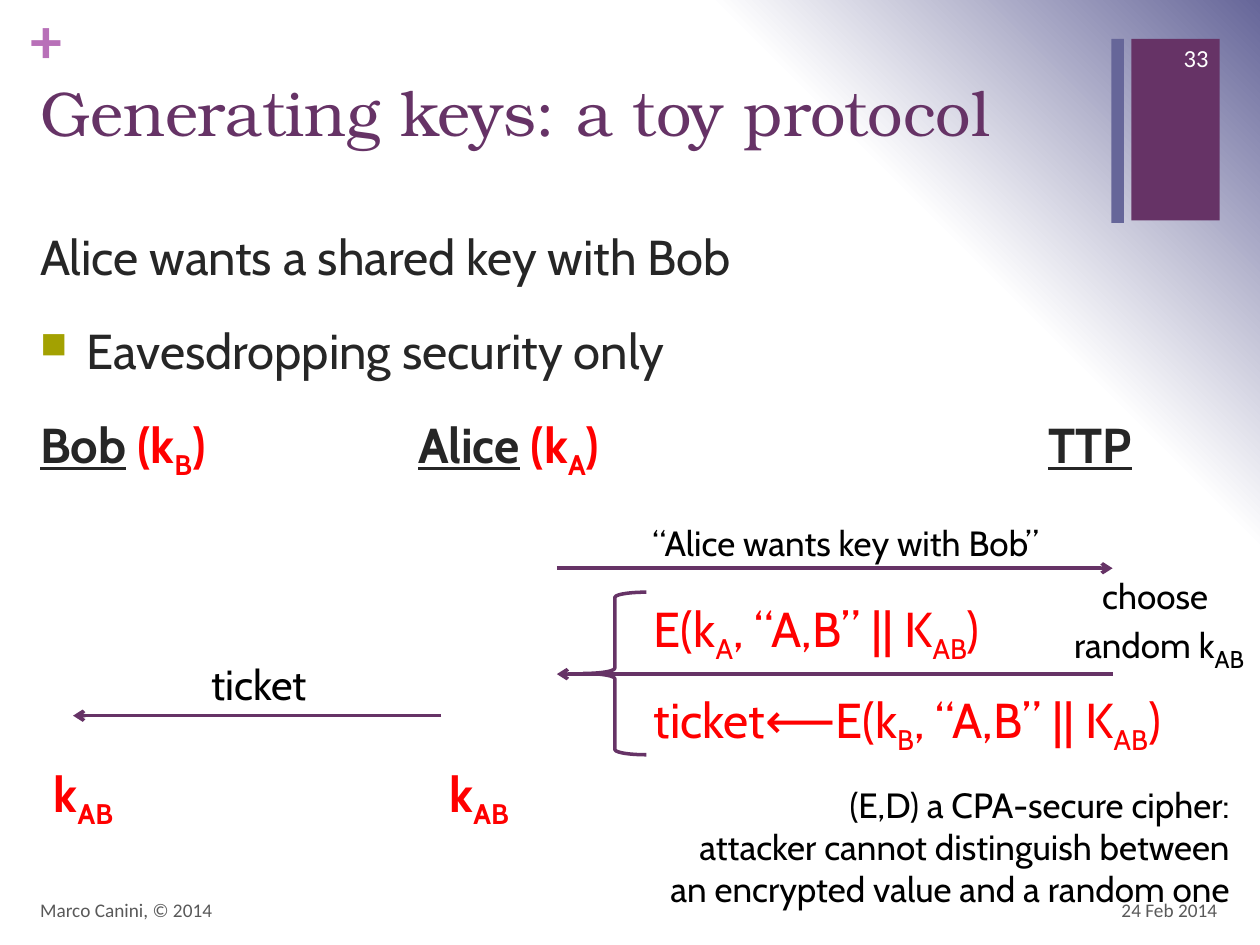
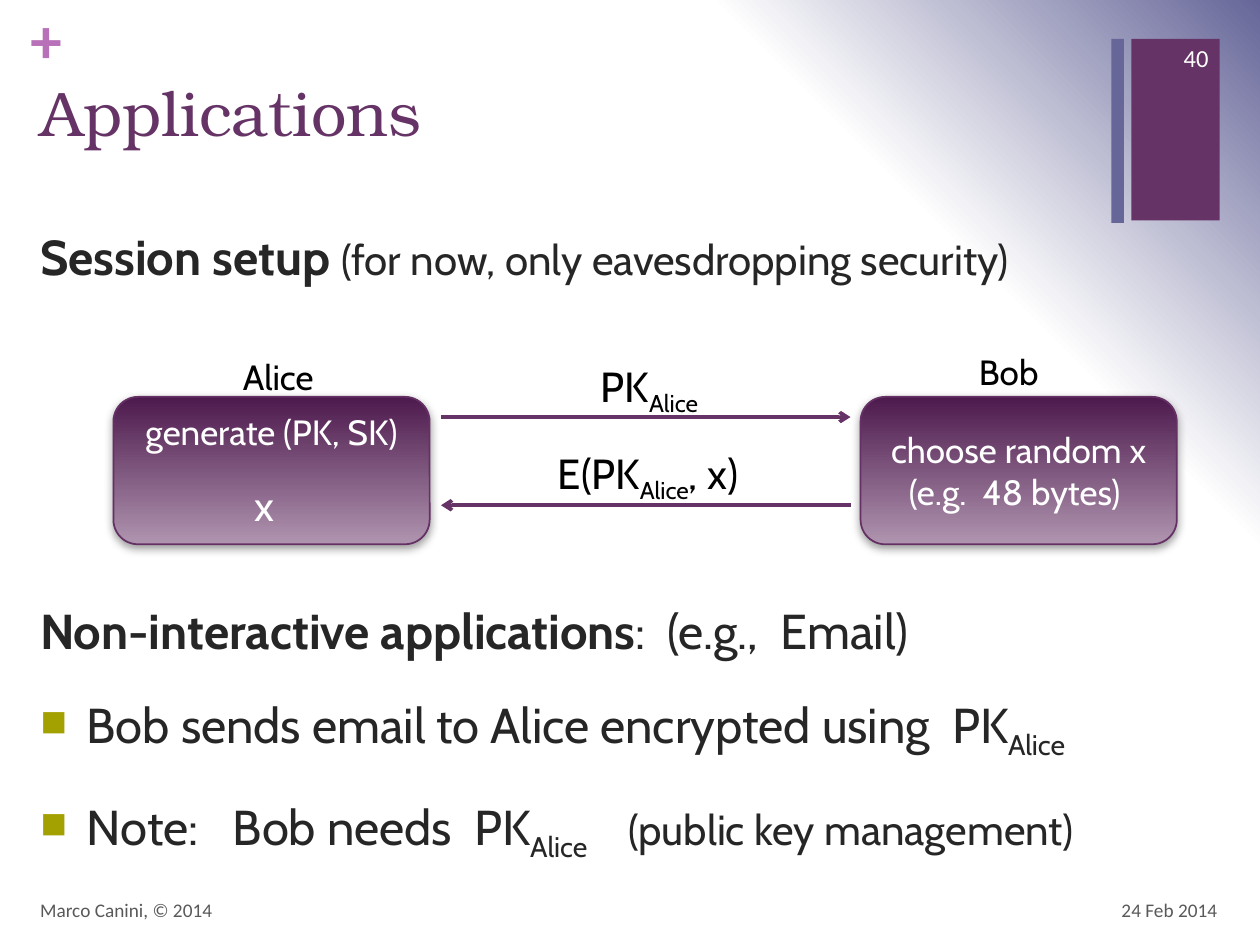
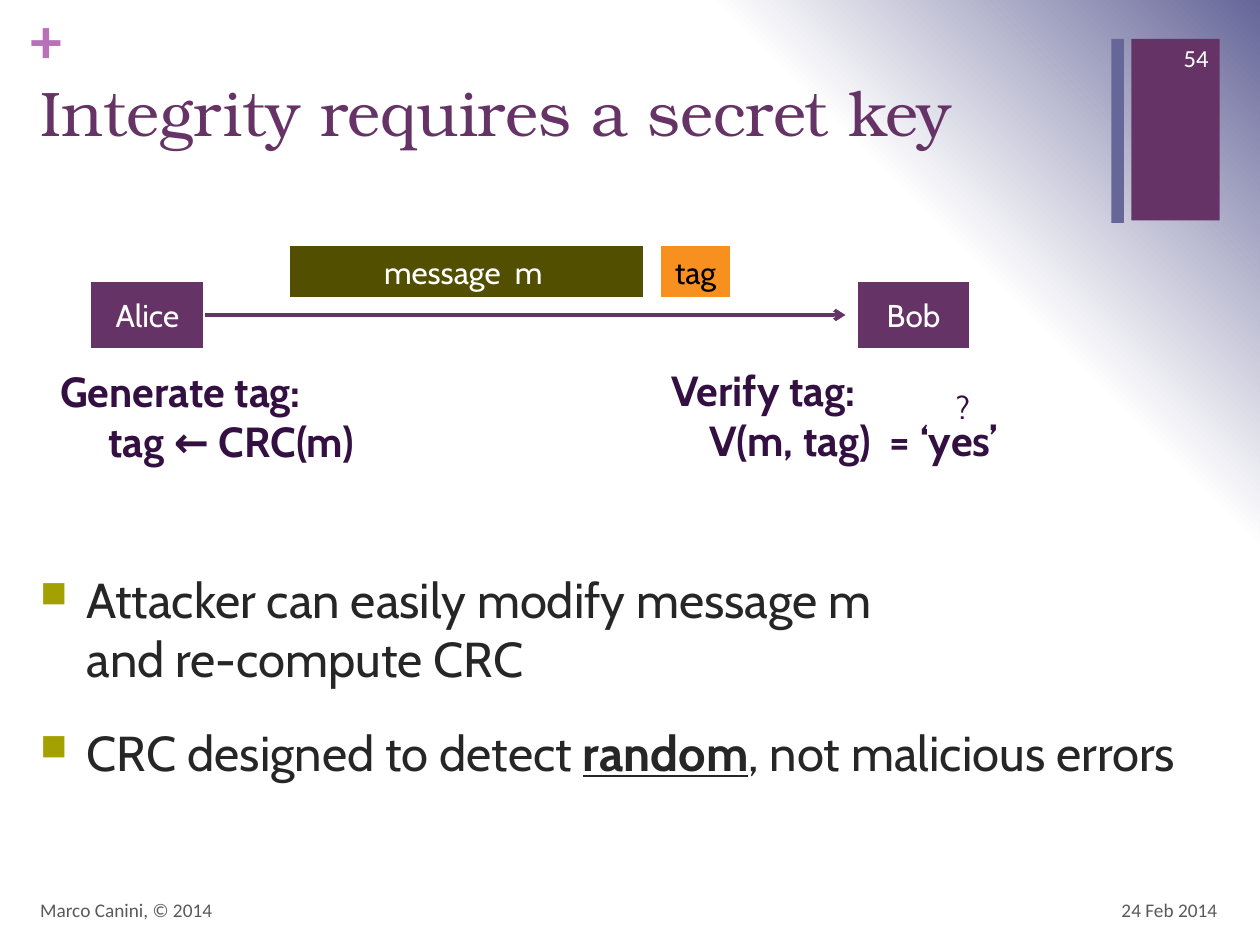
import dataclasses

import pptx
import pptx.dml.color
import pptx.enum.shapes
import pptx.enum.text
import pptx.oxml
import pptx.oxml.ns
import pptx.util

Inches = pptx.util.Inches
Pt = pptx.util.Pt
Shape = pptx.enum.shapes.MSO_SHAPE
Align = pptx.enum.text.PP_ALIGN
Anchor = pptx.enum.text.MSO_ANCHOR
NS = pptx.oxml.ns.nsdecls("a")


@dataclasses.dataclass(frozen=True)
class Theme:
    """Colours, fonts and type sizes shared by the slides."""
    purple: str = "663366"
    slate: str = "666699"
    orchid: str = "B870B8"
    bullet: str = "A3A101"
    olive: str = "525000"
    orange: str = "F7901E"
    plum: str = "330F42"
    box_top: str = "4D1A4D"
    box_bottom: str = "AF94AF"
    box_edge: str = "653165"
    shadow: str = "808080"
    red: str = "FF0000"
    ink: str = "262626"
    grey: str = "595959"
    black: str = "000000"
    white: str = "FFFFFF"
    title_font: str = "TeX Gyre Bonum"
    body_font: str = "Cabin"
    footer_font: str = "Calibri"
    title: int = 36
    body: int = 28
    medium: int = 24
    label: int = 20
    small: int = 18
    number: int = 14
    footer: int = 11


T = Theme()


def rgb(color):
    """Return the colour object for a hex string."""
    return pptx.dml.color.RGBColor.from_string(color)


def add_text(p, text, size=T.label, color=T.black, font=T.body_font, bold=False, underline=False):
    """Add text to a paragraph; parts between tildes are subscripts."""
    for i, part in enumerate(text.split("~")):
        for j, line in enumerate(part.split("\n")):
            if j:
                p.add_line_break()
            if not line:
                continue
            r = p.add_run()
            r.text = line
            r.font.name, r.font.size = font, Pt(size)
            r.font.bold, r.font.underline = bold, underline
            r.font.color.rgb = rgb(color)
            if i % 2:
                r._r.get_or_add_rPr().set("baseline", "-25000")


def next_paragraph(tf):
    """Return the empty first paragraph, or a new one."""
    p = tf.paragraphs[0]
    return tf.add_paragraph() if p.runs else p


def add_label(s, at, *lines, align=Align.LEFT, anchor=Anchor.TOP, wrap=False, inset=True, **fmt):
    """Add a text box with one paragraph for each line."""
    tf = s.shapes.add_textbox(*map(Inches, at)).text_frame
    tf.word_wrap, tf.vertical_anchor = wrap, anchor
    if not inset:
        tf.margin_left = tf.margin_right = tf.margin_top = tf.margin_bottom = 0
    for line in lines:
        p = next_paragraph(tf)
        p.alignment = align
        add_text(p, line, **fmt)
    return tf


def add_box(s, at, *lines, kind=Shape.RECTANGLE, fill=None, line=None, width=2.25,
            anchor=Anchor.MIDDLE, **fmt):
    """Add a preset shape with optional centred text."""
    sp = s.shapes.add_shape(kind, *map(Inches, at))
    sp.shadow.inherit = False
    if fill:
        sp.fill.solid()
        sp.fill.fore_color.rgb = rgb(fill)
    else:
        sp.fill.background()
    if line:
        sp.line.color.rgb = rgb(line)
        sp.line.width = Pt(width)
    else:
        sp.line.fill.background()
    tf = sp.text_frame
    tf.vertical_anchor = anchor
    for text in lines:
        p = next_paragraph(tf)
        p.alignment = Align.CENTER
        add_text(p, text, **fmt)
    return sp


def add_party(s, left, *lines, **fmt):
    """Add a rounded box with a vertical gradient and a soft shadow."""
    sp = add_box(s, (left, 3.15, 2.51, 1.17), *lines, kind=Shape.ROUNDED_RECTANGLE,
                 line=T.box_edge, width=1, color=T.white, **fmt)
    sp.fill.gradient()
    sp.fill.gradient_angle = 270
    for stop, color in zip(sp.fill.gradient_stops, (T.box_top, T.box_bottom)):
        stop.color.rgb = rgb(color)
    effects = sp._element.spPr.find(pptx.oxml.ns.qn("a:effectLst"))
    effects.append(pptx.oxml.parse_xml(
        f'<a:outerShdw {NS} blurRad="{Pt(5)}" dist="{Pt(2)}" dir="5400000" rotWithShape="0">'
        f'<a:srgbClr val="{T.shadow}"><a:alpha val="75000"/></a:srgbClr></a:outerShdw>'))


def add_arrow(s, x1, x2, y, start=None):
    """Add a horizontal arrow, joined to the right side of start if given."""
    cx = s.shapes.add_connector(pptx.enum.shapes.MSO_CONNECTOR.STRAIGHT,
                                *map(Inches, (x1, y, x2, y)))
    if start:
        cx.begin_connect(start, 3)
    cx.line.color.rgb = rgb(T.purple)
    cx.line.width = Pt(2)
    cx.line._get_or_add_ln().append(pptx.oxml.parse_xml(f'<a:tailEnd {NS} type="arrow"/>'))
    cx._element.spPr.append(pptx.oxml.parse_xml(f"<a:effectLst {NS}/>"))


def add_body(s, top=1.75, height=5.27):
    """Add the wide text box for the main text."""
    return add_label(s, (0.22, top, 9.54, height), wrap=True)


def add_point(tf, *runs, bullet=False, before=20, tabs=()):
    """Add a main-text paragraph made of (text, format) runs."""
    p = next_paragraph(tf)
    p.space_before = Pt(before)
    pPr = p._p.get_or_add_pPr()
    if bullet:
        pPr.set("marL", str(Inches(0.37)))
        pPr.set("indent", str(Inches(-0.37)))
        for tag in (f'<a:buClr {NS}><a:srgbClr val="{T.bullet}"/></a:buClr>',
                    f'<a:buSzPct {NS} val="75000"/>',
                    f'<a:buChar {NS} char="■"/>'):
            pPr.append(pptx.oxml.parse_xml(tag))
    if tabs:
        stops = "".join(f'<a:tab pos="{Inches(x)}" algn="l"/>' for x in tabs)
        pPr.append(pptx.oxml.parse_xml(f"<a:tabLst {NS}>{stops}</a:tabLst>"))
    for text, fmt in runs:
        add_text(p, text, **{"size": T.body, "color": T.ink, **fmt})


def add_step(s, at, heading, step, indent):
    """Add a bold heading with an indented step below it."""
    tf = add_label(s, at, heading, step, wrap=True, size=T.medium, color=T.plum, bold=True)
    tf.paragraphs[1]._p.get_or_add_pPr().set("marL", str(Inches(indent)))


def set_background(prs):
    """Give the master a radial gradient centred on the lower left corner."""
    fill = prs.slide_master.background.fill
    fill.solid()
    stops = "".join(f'<a:gs pos="{pos}000"><a:srgbClr val="{color}"/></a:gs>'
                    for pos, color in ((0, T.white), (75, T.white), (100, T.slate)))
    fill._xPr.replace(fill._xPr[0], pptx.oxml.parse_xml(
        f'<a:gradFill {NS} rotWithShape="1"><a:gsLst>{stops}</a:gsLst><a:path path="circle">'
        '<a:fillToRect t="100000" r="100000"/></a:path></a:gradFill>'))


def add_slide(prs, title, number):
    """Add a slide with its title, bands, number and footers."""
    s = prs.slides.add_slide(prs.slide_layouts[5])
    add_box(s, (8.98, 0.31, 0.7, 1.44), fill=T.purple)
    add_box(s, (8.82, 0.31, 0.1, 1.46), fill=T.slate)
    add_label(s, (0.24, 0, 0.29, 0.61), "+", inset=False, size=T.title, color=T.orchid,
              font=T.footer_font, bold=True)
    sp = s.shapes.title
    sp.left, sp.top, sp.width, sp.height = map(Inches, (0.22, 0.53, 8.59, 1.22))
    tf = sp.text_frame
    tf.auto_size = pptx.enum.text.MSO_AUTO_SIZE.NONE
    tf.vertical_anchor = Anchor.TOP
    tf.paragraphs[0].alignment = Align.LEFT
    add_text(tf.paragraphs[0], title, size=T.title, color=T.purple, font=T.title_font)
    footer = dict(anchor=Anchor.MIDDLE, wrap=True, font=T.footer_font)
    add_label(s, (7.43, 7.02, 2.33, 0.4), "24 Feb 2014", align=Align.RIGHT,
              size=T.footer, color=T.grey, **footer)
    add_label(s, (0.22, 7.02, 6.7, 0.4), "Marco Canini, © 2014",
              size=T.footer, color=T.grey, **footer)
    add_label(s, (9.08, 0.26, 0.61, 0.4), str(number), align=Align.RIGHT,
              size=T.number, color=T.white, **footer)
    return s


def build_protocol(prs):
    """Build the slide on the toy key protocol."""
    s = add_slide(prs, "Generating keys: a toy protocol", 33)
    tf = add_body(s)
    name = dict(bold=True, underline=True)
    key = dict(bold=True, color=T.red)
    add_point(tf, ("Alice wants a shared key with Bob", {}))
    add_point(tf, ("Eavesdropping security only", {}), bullet=True)
    add_point(tf, ("Bob", name), (" (k~B~)\t", key), ("Alice", name), (" (k~A~)\t", key),
              ("TTP", name), tabs=(3, 8))
    add_arrow(s, 8.83, 4.42, 5.35)
    add_arrow(s, 3.5, 0.58, 5.68)
    add_arrow(s, 4.42, 8.83, 4.51)
    add_label(s, (1.58, 5.18, 1, 0.5), "ticket", size=T.medium)
    for left in (0.33, 3.47):
        add_label(s, (left, 6.01, 0.8, 0.57), "k~AB~", size=T.body, **key)
    add_label(s, (5.08, 4.09, 3.51, 0.44), "“Alice wants key with Bob”")
    add_label(s, (4.94, 6.17, 4.92, 1.11), "(E,D) a CPA-secure cipher:\n"
              "attacker cannot distinguish between\nan encrypted value and a random one",
              align=Align.RIGHT)
    tf = add_label(s, (8.38, 4.51, 1.64, 0.77), "choose \nrandom k", align=Align.CENTER)
    add_text(tf.paragraphs[0], "~AB~", size=T.medium)
    for top, width, text in ((4.7, 3.29, "E(k~A~, “A,B” || K~AB~)"),
                             (5.42, 4.68, "ticket⟵E(k~B~, “A,B” || K~AB~)")):
        add_label(s, (5.09, top, width, 0.57), text, size=T.body, color=T.red)
    add_box(s, (4.63, 4.7, 0.5, 1.29), kind=Shape.LEFT_BRACE, line=T.purple, width=2)


def build_applications(prs):
    """Build the slide on uses of public-key encryption."""
    s = add_slide(prs, "Applications", 40)
    tf = add_body(s)
    bold, aside = dict(bold=True), dict(size=T.medium)
    add_point(tf, ("Session setup ", bold), ("(for now, only eavesdropping security)", aside))
    add_point(tf, ("Non-interactive applications", bold), (":  (e.g.,  Email)", {}), before=180)
    add_point(tf, ("Bob sends email to Alice encrypted using  PK~Alice~", {}), bullet=True)
    add_point(tf, ("Note:\tBob needs  PK~Alice~\t", {}), ("(public key management)", aside),
              bullet=True, tabs=(1.53, 4.67))
    add_party(s, 0.9, "generate (PK, SK)", anchor=Anchor.TOP)
    add_party(s, 6.83, "choose random x", "(e.g.  48 bytes) ")
    add_label(s, (1.83, 2.77, 0.78, 0.44), "Alice")
    add_label(s, (7.67, 2.73, 0.68, 0.44), "Bob")
    add_arrow(s, 3.5, 6.75, 3.31)
    add_arrow(s, 6.75, 3.5, 4.01)
    add_label(s, (4.67, 2.81, 1.04, 0.5), "PK~Alice~", size=T.medium)
    add_label(s, (4.33, 3.5, 1.86, 0.5), "E(PK~Alice~, x)", size=T.medium)
    add_label(s, (1.92, 3.76, 0.37, 0.5), "x", size=T.medium, color=T.white)


def build_integrity(prs):
    """Build the slide on integrity and checksums."""
    s = add_slide(prs, "Integrity requires a secret key", 54)
    tf = add_body(s, 4.47, 2.56)
    add_point(tf, ("Attacker can easily modify message m\nand re-compute CRC", {}), bullet=True)
    add_point(tf, ("CRC designed to detect ", {}), ("random", dict(bold=True, underline=True)),
              (", not malicious errors", {}), bullet=True)
    block = dict(line=T.white, size=T.small)
    alice, bob = (add_box(s, (left, 2.22, 0.92, 0.56), name, fill=T.purple, color=T.white, **block)
                  for left, name in ((0.71, "Alice"), (6.79, "Bob")))
    add_arrow(s, 1.63, 6.71, 2.5, start=alice)
    add_box(s, (2.29, 1.94, 2.83, 0.43), "message  m ", fill=T.olive, color=T.white, **block)
    add_box(s, (5.23, 1.94, 0.58, 0.43), "tag", fill=T.orange, **block)
    add_step(s, (0.38, 2.85, 3.58, 0.91), "Generate tag:", "tag ← CRC(m)", 0.38)
    add_step(s, (5.23, 2.84, 3.54, 0.91), "Verify tag:", "V(m, tag)  = ‘yes’", 0.3)
    add_label(s, (7.49, 3.03, 0.32, 0.4), "?", size=T.small, color=T.plum)


def main():
    """Build the three slides and save them."""
    prs = pptx.Presentation()
    prs.slide_width, prs.slide_height = Inches(10), Inches(7.5)
    set_background(prs)
    build_protocol(prs)
    build_applications(prs)
    build_integrity(prs)
    prs.save("out.pptx")


if __name__ == "__main__":
    main()
